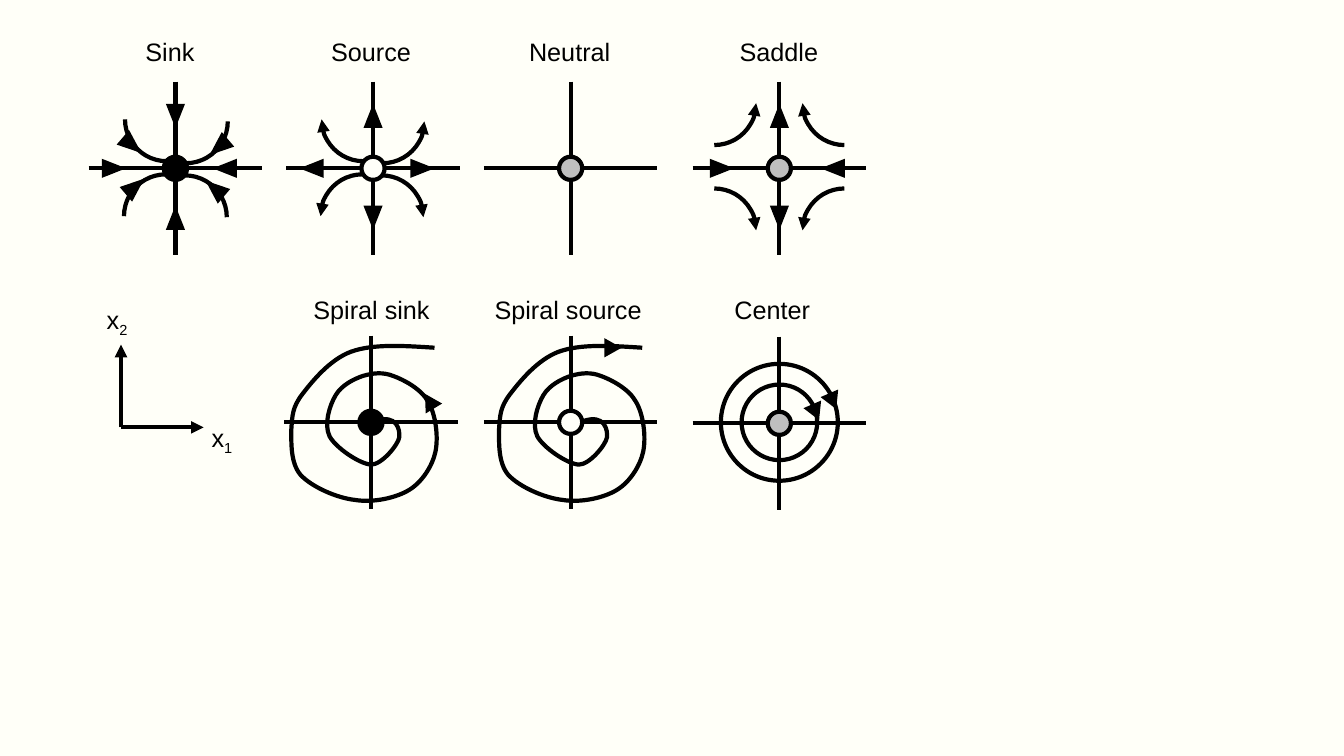
"""Draw phase portraits of the fixed points of a planar system."""
import lxml.etree
import pptx
import pptx.dml.color
import pptx.enum.shapes
import pptx.enum.text
import pptx.oxml.ns
import pptx.util

COLORS = {"page": "FFFFF8", "ink": "000000", "white": "FFFFF9", "gray": "BFBFBF"}
LABELS = [
    ("Sink", 1.34, 0.31, 0.69), ("Source", 3.18, 0.31, 1.0),
    ("Neutral", 5.14, 0.31, 1.02), ("Saddle", 7.23, 0.31, 0.99),
    ("Spiral sink", 3.0, 2.87, 1.37), ("Spiral source", 4.8, 2.87, 1.67),
    ("Center", 7.18, 2.87, 0.96),
]
NAMES = [("x", "1", 2.0, 4.14), ("x", "2", 0.96, 2.97)]
ORIGIN = (1.2, 4.24)
TIPS = [(2.02, 4.24), (1.2, 3.42)]
RINGS = [(7.73, 4.19, 1.16), (7.73, 4.19, 0.75)]
PLOTS = [
    (1.74, 1.67, "ink"), (3.7, 1.67, "white"), (5.66, 1.67, "gray"),
    (7.73, 1.67, "gray"), (3.68, 4.19, "ink"), (5.66, 4.19, "white"),
    (7.73, 4.2, "gray"),
]
HALF, DOT, ARC = 0.86, 0.23, 0.83
MARKS = [(0.49, 0), (0, 0.49), (-0.61, 0), (0, -0.52)]
FLOWS = [
    (1.74, 0, (270, 0, 90, 180)),
    (3.7, 0, (90, 180, 270, 0)),
    (7.73, 0.04, (270, 180, 90, 0)),
]
BENDS = [(1.23, 1.73, "H"), (1.42, 1.74, ""), (1.24, 0.77, "HV"), (1.43, 0.79, "V")]
SADDLE = [(6.67, 1.87, ""), (7.96, 1.87, "H"), (6.67, 0.61, "V"), (7.96, 0.61, "HV")]
STEP = 1.95
HEADS = [
    (1.34, 1.85, 0.24, 49.6), (2.13, 1.87, 0.24, 310.4),
    (1.31, 1.44, 0.24, 130.4), (2.17, 1.46, 0.24, 229.6),
    (8.26, 3.98, 0.17, 156.7), (8.09, 4.09, 0.17, 156.7),
    (4.26, 3.98, 0.17, 328.9), (6.08, 3.45, 0.17, 90),
]
SPIRAL = [
    (3.72, 4.18), (3.94, 4.1), (3.97, 4.27), (3.96, 4.34),
    (3.95, 4.41), (3.79, 4.61), (3.68, 4.61),
    (3.56, 4.6), (3.33, 4.44), (3.27, 4.33),
    (3.21, 4.21), (3.27, 4.02), (3.33, 3.92),
    (3.39, 3.82), (3.51, 3.76), (3.6, 3.73),
    (3.7, 3.7), (3.8, 3.69), (3.9, 3.73),
    (4.01, 3.77), (4.18, 3.86), (4.25, 3.99),
    (4.32, 4.11), (4.35, 4.33), (4.32, 4.48),
    (4.29, 4.62), (4.19, 4.78), (4.06, 4.86),
    (3.93, 4.94), (3.7, 4.99), (3.52, 4.96),
    (3.34, 4.94), (3.09, 4.83), (2.98, 4.71),
    (2.88, 4.59), (2.89, 4.39), (2.89, 4.26),
    (2.9, 4.12), (2.9, 4.04), (3.0, 3.91),
    (3.1, 3.78), (3.27, 3.57), (3.48, 3.49),
    (3.7, 3.41), (4.0, 3.43), (4.31, 3.45),
]
SHIFTS = [0, 2.06]

Inches = pptx.util.Inches
KIND = pptx.enum.shapes.MSO_SHAPE
qn = pptx.oxml.ns.qn


def color(name):
    return pptx.dml.color.RGBColor.from_string(COLORS[name])


def stroke(item, arrow=False):
    item.line.color.rgb = color("ink")
    item.line.width = pptx.util.Pt(3)
    if arrow:
        tail = lxml.etree.SubElement(item.line._get_or_add_ln(), qn("a:tailEnd"))
        tail.set("type", "triangle")


def shape(kind, x, y, w, h, fill=None):
    item = shapes.add_shape(kind, Inches(x), Inches(y), Inches(w), Inches(h))
    item.shadow.inherit = False
    if fill:
        item.fill.solid()
        item.fill.fore_color.rgb = color(fill)
    else:
        item.fill.background()
    return item


def disc(x, y, size, fill):
    stroke(shape(KIND.OVAL, x - size / 2, y - size / 2, size, size, fill))


def line(x1, y1, x2, y2, arrow=False):
    kind = pptx.enum.shapes.MSO_CONNECTOR.STRAIGHT
    item = shapes.add_connector(kind, Inches(x1), Inches(y1), Inches(x2), Inches(y2))
    stroke(item, arrow)
    lxml.etree.SubElement(item._element.spPr, qn("a:effectLst"))


def mark(x, y, h, turn):
    item = shape(KIND.ISOSCELES_TRIANGLE, x - 0.095, y - h / 2, 0.19, h, "ink")
    item.line.fill.background()
    item.rotation = turn


def arc(x, y, flips, arrow):
    item = shape(KIND.ARC, x, y, ARC, ARC)
    stroke(item, arrow)
    for side in flips:
        item._element.spPr.xfrm.set("flip" + side, "1")


def curve(points):
    start, *rest = [(Inches(x), Inches(y)) for x, y in points]
    form = shapes.build_freeform(*start)
    form.add_line_segments(rest, close=False)
    item = form.convert_to_shape()
    item.shadow.inherit = False
    item.fill.background()
    stroke(item)
    track = item._element.find(".//" + qn("a:path"))
    legs = track.findall(qn("a:lnTo"))
    for i in range(0, len(legs), 3):
        bend = lxml.etree.SubElement(track, qn("a:cubicBezTo"))
        for leg in legs[i:i + 3]:
            bend.append(leg[0])
            track.remove(leg)


def text(words, x, y, w, align):
    box = shapes.add_textbox(Inches(x), Inches(y), Inches(w), Inches(0.4))
    frame = box.text_frame
    frame.word_wrap = False
    frame.auto_size = pptx.enum.text.MSO_AUTO_SIZE.SHAPE_TO_FIT_TEXT
    para = frame.paragraphs[0]
    para.alignment = align
    para.font.name = "Arial"
    para.font.size = pptx.util.Pt(18)
    para.font.color.rgb = color("ink")
    for i, word in enumerate(words):
        run = para.add_run()
        run.text = word
        if i:
            run.font._element.set("baseline", "-25000")


deck = pptx.Presentation()
deck.slide_width, deck.slide_height = Inches(13.33), Inches(7.5)
slide = deck.slides.add_slide(deck.slide_layouts[6])
slide.background.fill.solid()
slide.background.fill.fore_color.rgb = color("page")
shapes = slide.shapes
ALIGN = pptx.enum.text.PP_ALIGN

for word, x, y, w in LABELS:
    text([word], x, y, w, ALIGN.CENTER)
for name, sub, x, y in NAMES:
    text([name, sub], x, y, 0.42, ALIGN.LEFT)
for tip in TIPS:
    line(*ORIGIN, *tip, arrow=True)
for x, y, size in RINGS:
    disc(x, y, size, "white")
for x, y, fill in PLOTS:
    line(x - HALF, y, x + HALF, y)
    line(x, y - HALF, x, y + HALF)
    disc(x, y, DOT, fill)
for x, shift, turns in FLOWS:
    for (dx, dy), turn in zip(MARKS, turns):
        mark(x + dx + (shift if dx else 0), 1.67 + dy, 0.24, turn)
for x, y, flips in BENDS:
    arc(x, y, flips, False)
    arc(x + STEP, y, flips, True)
for x, y, flips in SADDLE:
    arc(x, y, flips, True)
for shift in SHIFTS:
    curve([(x + shift, y) for x, y in SPIRAL])
for head in HEADS:
    mark(*head)

deck.save("out.pptx")
